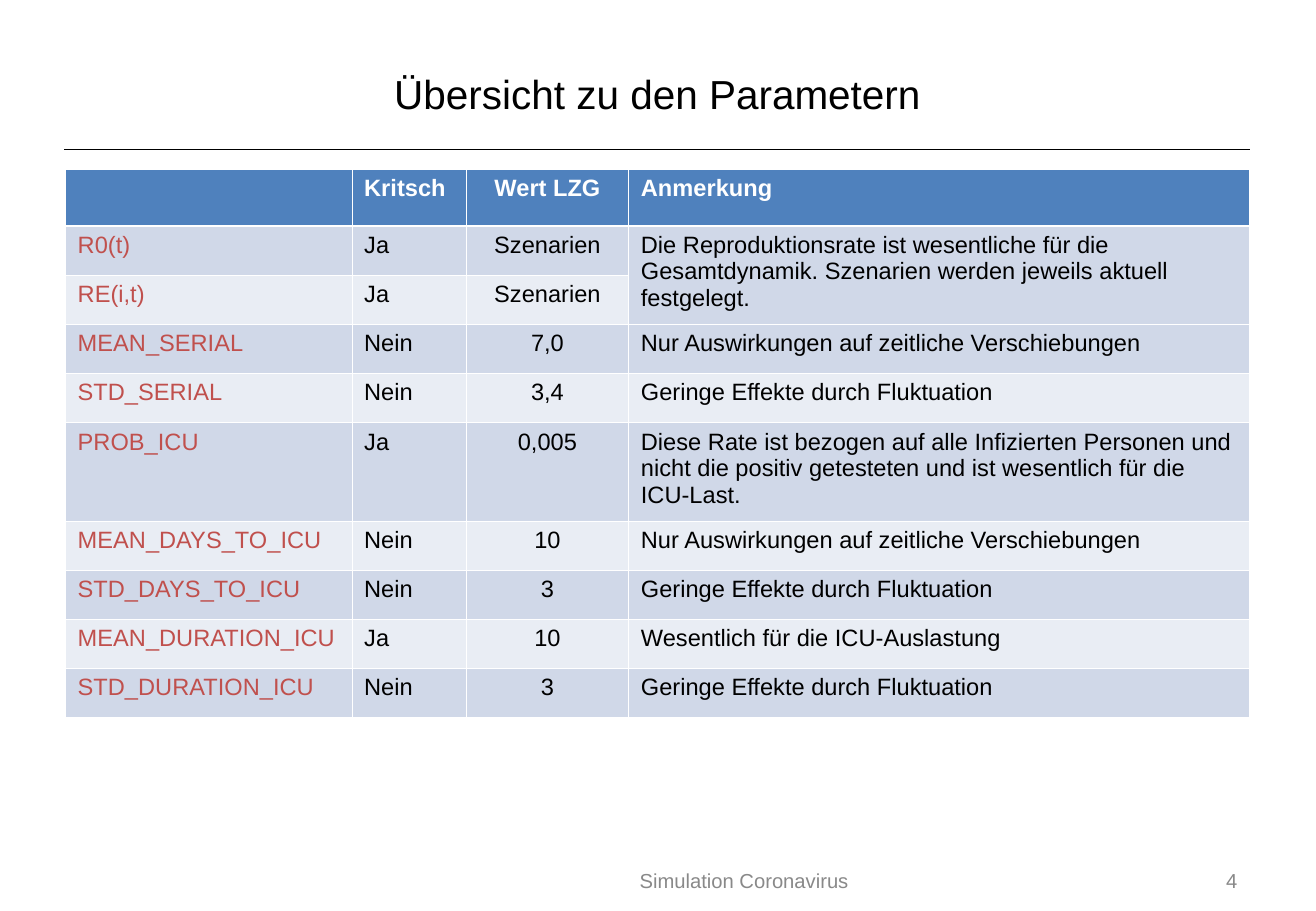
from dataclasses import dataclass

from lxml.etree import SubElement
from pptx import Presentation
from pptx.dml.color import RGBColor
from pptx.enum.shapes import MSO_CONNECTOR
from pptx.enum.text import MSO_ANCHOR, PP_ALIGN
from pptx.oxml.ns import qn
from pptx.util import Inches, Pt


@dataclass(frozen=True)
class Theme:
    font: str = "Arial"
    ink: str = "000000"
    paper: str = "FFFFFF"
    head: str = "4F81BD"
    bands: tuple = ("D0D8E8", "E9EDF4")
    name: str = "C0504D"
    mute: str = "898989"
    title: int = 24
    cell: int = 14
    foot: int = 12
    thin: float = 0.45
    thick: float = 1.47


LEFT, WIDTH = 0.53, 9.76
HEAD_H, BODY_H = 0.47, 4.05
COLS = (2.36, 0.94, 1.34, 5.11)
SHIFT = "Nur Auswirkungen auf zeitliche Verschiebungen"
NOISE = "Geringe Effekte durch Fluktuation"
HEADS = ("", "Kritsch", "Wert LZG", "Anmerkung")
ROWS = (
    ("R0(t)", "Ja", "Szenarien",
     "Die Reproduktionsrate ist wesentliche für die Gesamtdynamik. "
     "Szenarien werden jeweils aktuell festgelegt."),
    ("RE(i,t)", "Ja", "Szenarien", ""),
    ("MEAN_SERIAL", "Nein", "7,0", SHIFT),
    ("STD_SERIAL", "Nein", "3,4", NOISE),
    ("PROB_ICU", "Ja", "0,005",
     "Diese Rate ist bezogen auf alle Infizierten Personen und nicht die "
     "positiv getesteten und ist wesentlich für die ICU-Last."),
    ("MEAN_DAYS_TO_ICU", "Nein", "10", SHIFT),
    ("STD_DAYS_TO_ICU", "Nein", "3", NOISE),
    ("MEAN_DURATION_ICU", "Ja", "10", "Wesentlich für die ICU-Auslastung"),
    ("STD_DURATION_ICU", "Nein", "3", NOISE),
)


def write(frame, text, *, font, size, color, bold=False, align=PP_ALIGN.LEFT):
    """Fill a text frame with one formatted paragraph."""
    para = frame.paragraphs[0]
    para.alignment = align
    para.font.size = Pt(size)
    if not text:
        return
    run = para.add_run()
    run.text = text
    run.font.name = font
    run.font.size = Pt(size)
    run.font.bold = bold
    run.font.color.rgb = RGBColor.from_string(color)


class Page:
    def __init__(self, slide, theme):
        self.slide = slide
        self.theme = theme

    def title(self, text, box):
        shape = self.slide.shapes.title
        shape.left, shape.top, shape.width, shape.height = map(Inches, box)
        shape.text_frame.vertical_anchor = MSO_ANCHOR.MIDDLE
        write(shape.text_frame, text, font=self.theme.font,
              size=self.theme.title, color=self.theme.ink,
              align=PP_ALIGN.CENTER)

    def rule(self, start, end):
        line = self.slide.shapes.add_connector(
            MSO_CONNECTOR.STRAIGHT, *map(Inches, start + end))
        line.line.color.rgb = RGBColor.from_string(self.theme.ink)
        line.line.width = Pt(1)
        props = line._element.find(qn("p:spPr"))
        SubElement(props, qn("a:effectLst"))

    def label(self, text, box, align):
        frame = self.slide.shapes.add_textbox(*map(Inches, box)).text_frame
        frame.word_wrap = True
        frame.vertical_anchor = MSO_ANCHOR.MIDDLE
        write(frame, text, font=self.theme.font, size=self.theme.foot,
              color=self.theme.mute, align=align)

    def edge(self, cell, row):
        """Draw the white cell borders, thicker below the header."""
        heavy = {"B": 0, "T": 1}
        props = cell._tc.get_or_add_tcPr()
        for side in "LRTB":
            width = (self.theme.thick if heavy.get(side) == row
                     else self.theme.thin)
            line = SubElement(props, qn("a:ln" + side), w=str(Pt(width)))
            fill = SubElement(line, qn("a:solidFill"))
            SubElement(fill, qn("a:srgbClr"), val=self.theme.paper)

    def cell(self, cell, text, row, col):
        look = self.theme
        head = row == 0
        if head:
            back, color = look.head, look.paper
        else:
            back = look.bands[(row - 1) % 2]
            color = look.name if col == 0 else look.ink
        self.edge(cell, row)
        cell.fill.solid()
        cell.fill.fore_color.rgb = RGBColor.from_string(back)
        write(cell.text_frame, text, font=look.font, size=look.cell,
              color=color, bold=head,
              align=PP_ALIGN.CENTER if col == 2 else PP_ALIGN.LEFT)

    def table(self, rows, left, top):
        grid = self.slide.shapes.add_table(
            len(rows), len(COLS), Inches(left), Inches(top),
            Inches(WIDTH), Inches(HEAD_H + BODY_H)).table
        grid.horz_banding = False
        for col, width in zip(grid.columns, COLS):
            col.width = Inches(width)
        # The ICU rate takes two units of height, every other row one
        units = [2 if row[0] == "PROB_ICU" else 1 for row in rows[1:]]
        grid.rows[0].height = Inches(HEAD_H)
        for unit, row in zip(units, list(grid.rows)[1:]):
            row.height = Inches(BODY_H * unit / sum(units))
        for r, row in enumerate(rows):
            for c, text in enumerate(row):
                self.cell(grid.cell(r, c), text, r, c)
        # One shared note for both reproduction rates
        grid.cell(1, 3).merge(grid.cell(2, 3))


def main():
    deck = Presentation()
    deck.slide_width, deck.slide_height = Inches(10.84), Inches(7.5)
    page = Page(deck.slides.add_slide(deck.slide_layouts[5]), Theme())

    # Heading
    page.rule((LEFT, 1.23), (10.3, 1.23))
    page.title("Übersicht zu den Parametern", (0.54, 0.3, 9.75, 0.93))

    # Parameters
    page.table((HEADS,) + ROWS, LEFT + 0.01, 1.39)

    # Footer
    page.label("Simulation Coronavirus", (2.9, 7.14, 6.46, 0.22),
               PP_ALIGN.CENTER)
    page.label("4", (9.51, 7.14, 0.78, 0.22), PP_ALIGN.RIGHT)

    deck.save("out.pptx")


if __name__ == "__main__":
    main()
